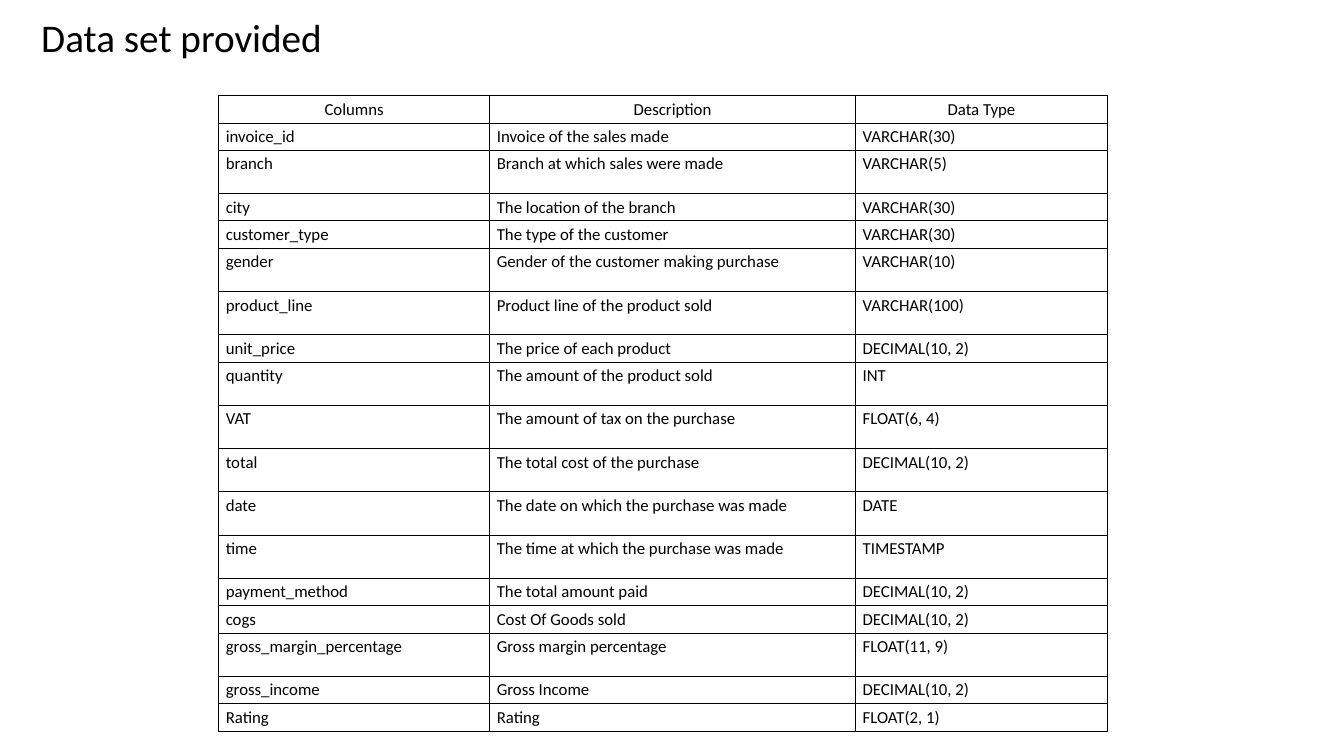
from typing import NamedTuple

from lxml import etree
from pptx import Presentation
from pptx.dml.color import RGBColor
from pptx.enum import text
from pptx.oxml import ns
from pptx.util import Cm, Pt

COLORS = {"ink": "000000", "paper": "FFFFFF"}
FONT = "Calibri"
BORDER_WIDTH = Pt(0.75)
SHORT_ROW, TALL_ROW = Cm(0.61), Cm(1.09)
COLUMN_WIDTHS = [Cm(6.83), Cm(9.22), Cm(6.35)]


class Field(NamedTuple):
    name: str
    description: str
    data_type: str
    tall: bool = False


HEADER = Field("Columns", "Description", "Data Type")
FIELDS = [
    Field("invoice_id", "Invoice of the sales made", "VARCHAR(30)"),
    Field("branch", "Branch at which sales were made", "VARCHAR(5)", True),
    Field("city", "The location of the branch", "VARCHAR(30)"),
    Field("customer_type", "The type of the customer", "VARCHAR(30)"),
    Field("gender", "Gender of the customer making purchase", "VARCHAR(10)", True),
    Field("product_line", "Product line of the product sold", "VARCHAR(100)", True),
    Field("unit_price", "The price of each product", "DECIMAL(10, 2)"),
    Field("quantity", "The amount of the product sold", "INT", True),
    Field("VAT", "The amount of tax on the purchase", "FLOAT(6, 4)", True),
    Field("total", "The total cost of the purchase", "DECIMAL(10, 2)", True),
    Field("date", "The date on which the purchase was made", "DATE", True),
    Field("time", "The time at which the purchase was made", "TIMESTAMP", True),
    Field("payment_method", "The total amount paid", "DECIMAL(10, 2)"),
    Field("cogs", "Cost Of Goods sold", "DECIMAL(10, 2)"),
    Field("gross_margin_percentage", "Gross margin percentage", "FLOAT(11, 9)", True),
    Field("gross_income", "Gross Income", "DECIMAL(10, 2)"),
    Field("Rating", "Rating", "FLOAT(2, 1)"),
]


def add_run(paragraph, content: str, size: float) -> None:
    run = paragraph.add_run()
    run.text = content
    run.font.name = FONT
    run.font.size = Pt(size)
    run.font.bold = False
    run.font.color.rgb = RGBColor.from_string(COLORS["ink"])


def add_borders(cell) -> None:
    properties = cell._tc.get_or_add_tcPr()
    for position, side in enumerate(("lnL", "lnR", "lnT", "lnB")):
        line = etree.Element(ns.qn(f"a:{side}"), w=str(BORDER_WIDTH))
        fill = etree.SubElement(line, ns.qn("a:solidFill"))
        etree.SubElement(fill, ns.qn("a:srgbClr"), val=COLORS["ink"])
        properties.insert(position, line)  # borders come before the fill


def fill_cell(cell, content: str, alignment: text.PP_ALIGN) -> None:
    cell.margin_left = cell.margin_right = Cm(0.18)
    cell.margin_top = cell.margin_bottom = Cm(0.09)
    cell.fill.solid()
    cell.fill.fore_color.rgb = RGBColor.from_string(COLORS["paper"])
    add_borders(cell)
    paragraph = cell.text_frame.paragraphs[0]
    paragraph.alignment = alignment
    paragraph.space_after = Pt(12)
    add_run(paragraph, content, 12)


def add_title(slide, content: str) -> None:
    shape = slide.shapes.add_textbox(Cm(0.79), Cm(0.64), Cm(29.87), Cm(0.74))
    frame = shape.text_frame
    frame.word_wrap = True
    frame.vertical_anchor = text.MSO_ANCHOR.MIDDLE
    frame.paragraphs[0].line_spacing = 0.9
    add_run(frame.paragraphs[0], content, 28)


def add_field_table(slide, fields: list[Field]) -> None:
    rows = [HEADER, *fields]
    heights = [TALL_ROW if field.tall else SHORT_ROW for field in rows]
    table = slide.shapes.add_table(
        len(rows), len(COLUMN_WIDTHS), Cm(5.51), Cm(2.41),
        sum(COLUMN_WIDTHS), sum(heights)).table
    table.first_row = table.horz_banding = False
    for column, width in zip(table.columns, COLUMN_WIDTHS):
        column.width = width
    for row, field, height in zip(table.rows, rows, heights):
        row.height = height
        alignment = text.PP_ALIGN.CENTER if field is HEADER else text.PP_ALIGN.LEFT
        for cell, content in zip(row.cells, field[:3]):
            fill_cell(cell, content, alignment)


def main() -> None:
    presentation = Presentation()
    presentation.slide_width, presentation.slide_height = Cm(33.87), Cm(19.05)
    slide = presentation.slides.add_slide(presentation.slide_layouts[6])

    # Heading
    add_title(slide, "Data set provided")

    # Column descriptions
    add_field_table(slide, FIELDS)

    presentation.save("out.pptx")


if __name__ == "__main__":
    main()
